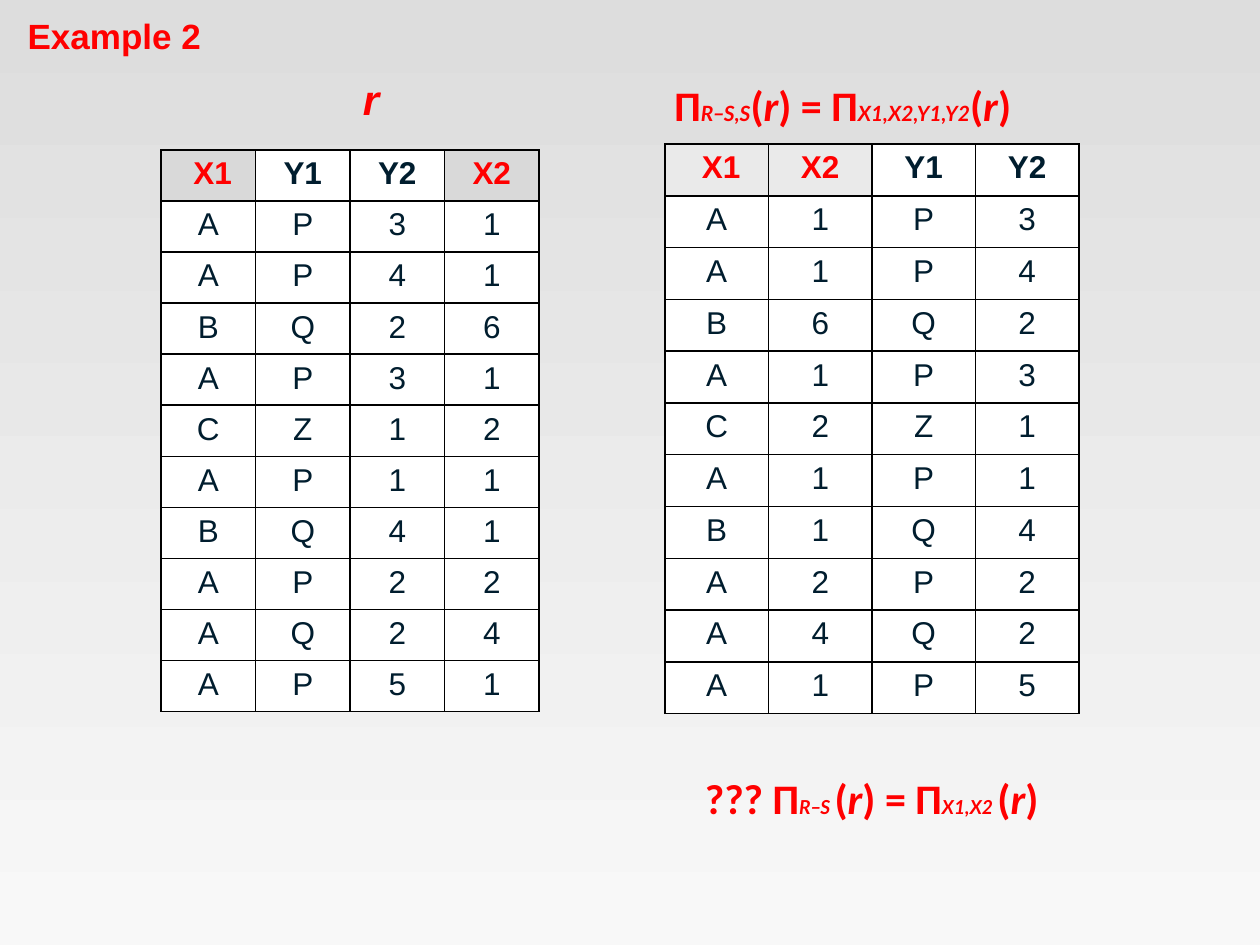
from lxml.etree import SubElement
from pptx import Presentation
from pptx.dml.color import RGBColor
from pptx.enum.text import MSO_ANCHOR as Anchor, MSO_AUTO_SIZE as AutoSize, PP_ALIGN as Align
from pptx.oxml.ns import qn
from pptx.util import Pt

PX = 914400 / 126
COLORS = {"accent": "FF0000", "ink": "001D2E", "border": "000000", "white": "FFFFFF",
          "gray": "D9D9D9", "light": "EAEAEA", "sky_top": "DDDDDD", "sky_bottom": "F8F8F8"}

HEADING = {"name": "Arial", "size": 20, "bold": True}
RELATION = {"name": "Arial", "size": 24, "bold": True, "italic": True}
MAIN = {"name": "Calibri", "size": 24, "bold": True}
ARGUMENT = {**MAIN, "italic": True}
HEADER = {"name": "Arial", "size": 18, "bold": True}
BODY = {**HEADER, "bold": False}


def px(value):
    return round(value * PX)


def rgb(key):
    return RGBColor.from_string(COLORS[key])


class SlideBuilder:
    def __init__(self, presentation):
        self.slide = presentation.slides.add_slide(presentation.slide_layouts[5])

    def background(self, top, bottom):
        fill = self.slide.background.fill
        fill.gradient()
        fill.gradient_angle = 270
        for stop, key in zip(fill.gradient_stops, (top, bottom)):
            stop.color.rgb = rgb(key)

    def add_runs(self, paragraph, runs, align=Align.LEFT, color="accent"):
        paragraph.alignment = align
        for text, style in runs:
            run = paragraph.add_run()
            run.text = text
            for name, value in style.items():
                setattr(run.font, name, Pt(value) if name == "size" else value)
            run.font.color.rgb = rgb(color)

    def fill_frame(self, shape, runs, align, anchor, wrap):
        frame = shape.text_frame
        formats = {"word_wrap": wrap, "auto_size": AutoSize.SHAPE_TO_FIT_TEXT,
                   "vertical_anchor": anchor}
        for name, value in formats.items():
            setattr(frame, name, value)
        self.add_runs(frame.paragraphs[0], runs, align)

    def title(self, text, left, top, width, height):
        shape = self.slide.shapes.title
        shape.left, shape.top, shape.width, shape.height = map(px, (left, top, width, height))
        self.fill_frame(shape, [(text, HEADING)], Align.LEFT, Anchor.TOP, False)

    def text(self, runs, left, top, width, height, align=Align.LEFT, anchor=Anchor.TOP, wrap=True):
        shape = self.slide.shapes.add_textbox(*map(px, (left, top, width, height)))
        self.fill_frame(shape, runs, align, anchor, wrap)

    def border(self, cell):
        properties = cell._tc.get_or_add_tcPr()
        for position, side in enumerate(("a:lnL", "a:lnR", "a:lnT", "a:lnB")):
            line = properties.makeelement(qn(side), {"w": str(Pt(1))})
            solid = SubElement(line, qn("a:solidFill"))
            SubElement(solid, qn("a:srgbClr"), val=COLORS["border"])
            properties.insert(position, line)

    def table(self, rows, left, top, width, height, key_fill):
        frame = self.slide.shapes.add_table(len(rows), len(rows[0]),
                                            *map(px, (left, top, width, height)))
        table = frame.table
        table.first_row = table.horz_banding = False
        for row in table.rows:
            row.height = px(height / len(rows))
        for row_index, values in enumerate(rows):
            for column_index, value in enumerate(values):
                cell = table.cell(row_index, column_index)
                is_header = row_index == 0
                is_key = is_header and "X" in value
                cell.fill.solid()
                cell.fill.fore_color.rgb = rgb(key_fill if is_key else "white")
                self.add_runs(cell.text_frame.paragraphs[0],
                              [(value, HEADER if is_header else BODY)],
                              Align.CENTER, "accent" if is_key else "ink")
                self.border(cell)


def projection(lead, schema, attributes, size):
    """Runs of: lead, subscript R−schema, (r) = Π, subscript attributes, (r)."""
    sub = {"name": "Lato", "size": size, "bold": True, "italic": True}
    minus = {**sub, "name": "Calibri"}
    return [(lead, MAIN), ("R", sub), ("−", minus), (schema, sub),
            ("(", MAIN), ("r", ARGUMENT), (") = Π", MAIN),
            (attributes, sub), ("(", MAIN), ("r", ARGUMENT), (")", MAIN)]


def main():
    presentation = Presentation()
    presentation.slide_width, presentation.slide_height = px(1260), px(945)
    builder = SlideBuilder(presentation)
    builder.background("sky_top", "sky_bottom")

    # Relation r, and its projection with the X columns first
    tuples = ["AP31", "AP41", "BQ26", "AP31", "CZ12", "AP11", "BQ41", "AP22", "AQ24", "AP51"]
    relation = [[" X1", "Y1", "Y2", "X2"], *map(list, tuples)]
    projected = [[x1, x2, y1, y2] for x1, y1, y2, x2 in relation]

    builder.title("Example 2", 15, 8, 200, 55)
    builder.table(relation, 161, 150, 378, 562, "gray")
    builder.table(projected, 665, 144, 414, 570, "light")

    # Captions
    builder.text([("r", RELATION)], 350, 67, 42, 64, Align.CENTER, Anchor.MIDDLE, wrap=False)
    builder.text(projection("Π", "S,S", "X1,X2,Y1,Y2", 12), 662, 73, 483, 63)
    builder.text(projection(" ??? Π", "S ", "X1,X2 ", 11), 683, 766, 438, 63)

    presentation.save("out.pptx")


if __name__ == "__main__":
    main()
